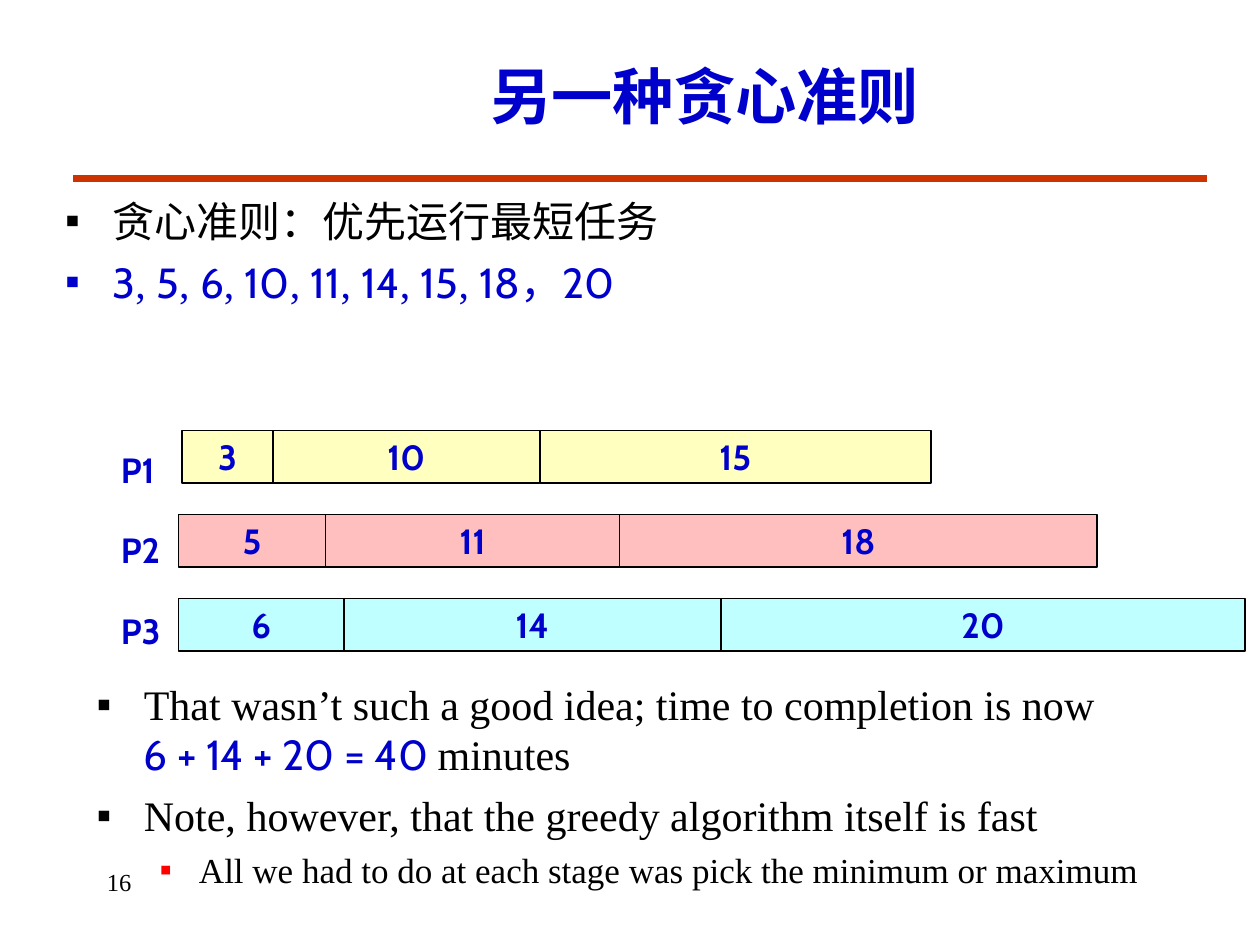
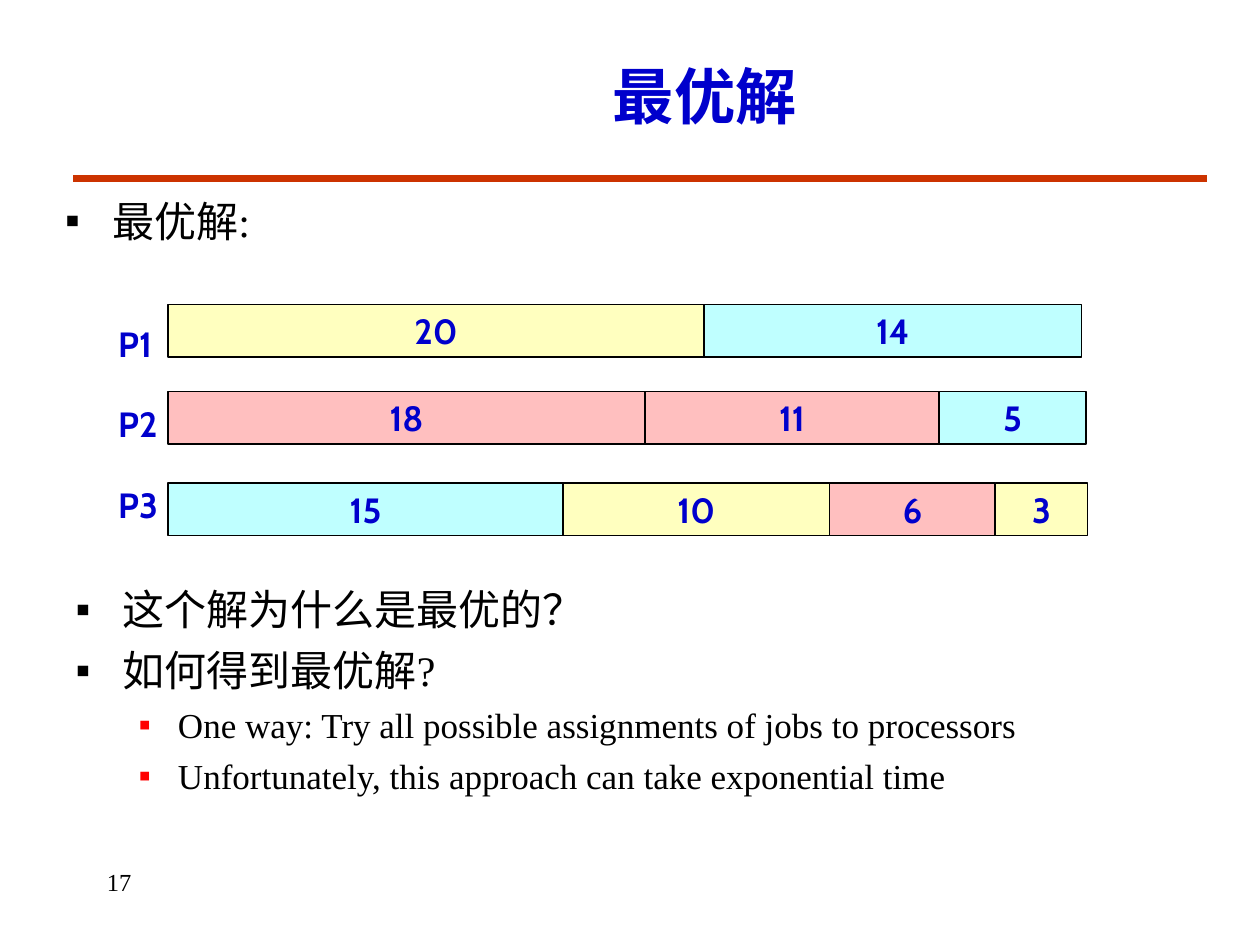
import itertools

import pptx
import pptx.dml.color
import pptx.enum.shapes
import pptx.enum.text
import pptx.oxml.ns
import pptx.util
from lxml import etree

Pt = pptx.util.Pt
ALIGN = pptx.enum.text.PP_ALIGN
ANCHOR = pptx.enum.text.MSO_ANCHOR

# Shared style
SERIF, SANS = "Times New Roman", "Cabin"
BLACK, BLUE, RED, RULE = "000000", "0000CC", "FF0000", "CC3300"
YELLOW, PINK, CYAN = "FFFFBF", "FFBFBF", "BFFFFF"
BAR_HEIGHT = 30
BULLET_LEVELS = [  # size, text indent, hanging indent, bullet colour
    (24, 27, 27, None),
    (20, 58.5, 22.5, RED),
]


def rgb(hex_colour):
    return pptx.dml.color.RGBColor.from_string(hex_colour)


def write_text(paragraph, text, font=SERIF, size=24, colour=BLACK, bold=False, align=None):
    """Add text to a paragraph; a newline becomes a line break."""
    if align is not None:
        paragraph.alignment = align
    for number, line in enumerate(text.split("\n")):
        if number:
            paragraph.add_line_break()
        if line:
            run = paragraph.add_run()
            run.text = line
            run.font.name = font
            run.font.size = Pt(size)
            run.font.bold = bold
            run.font.color.rgb = rgb(colour)


def place(shape, left, top, width, height):
    shape.left, shape.top = Pt(left), Pt(top)
    shape.width, shape.height = Pt(width), Pt(height)


def next_paragraph(frame, index):
    return frame.add_paragraph() if index else frame.paragraphs[0]


def add_child(parent, tag, **attributes):
    return etree.SubElement(parent, pptx.oxml.ns.qn(tag), attributes)


def set_bullet(paragraph, level):
    size, indent, hanging, colour = BULLET_LEVELS[level]
    paragraph.level = level
    paragraph.space_before = Pt(size / 4)
    properties = paragraph._p.get_or_add_pPr()
    properties.set("marL", str(Pt(indent)))
    properties.set("indent", str(-Pt(hanging)))
    if colour:
        add_child(add_child(properties, "a:buClr"), "a:srgbClr", val=colour)
    add_child(properties, "a:buChar", char="▪")


def fill_list(placeholder, box, items):
    """Each item is a level and its runs, a run being text and format."""
    place(placeholder, *box)
    frame = placeholder.text_frame
    frame.auto_size = pptx.enum.text.MSO_AUTO_SIZE.NONE
    frame.vertical_anchor = ANCHOR.TOP
    for index, (level, runs) in enumerate(items):
        paragraph = next_paragraph(frame, index)
        set_bullet(paragraph, level)
        for text, style in runs:
            write_text(paragraph, text, size=BULLET_LEVELS[level][0], **style)


def plain(text, level=0):
    return level, [(text, {})]


def add_text_box(slide, box, lines, line_spacing=None, space_before=None, **style):
    frame = slide.shapes.add_textbox(*map(Pt, box)).text_frame
    frame.word_wrap = True
    for index, line in enumerate(lines):
        paragraph = next_paragraph(frame, index)
        paragraph.line_spacing = line_spacing
        paragraph.space_before = space_before
        write_text(paragraph, line, **style)


def start_slide(deck, title, page_number):
    slide = deck.slides.add_slide(deck.slide_layouts.get_by_name("Two Content"))
    # Red rule below the title
    rule = slide.shapes.add_connector(
        pptx.enum.shapes.MSO_CONNECTOR.STRAIGHT, Pt(42), Pt(102), Pt(690), Pt(102))
    rule.line.color.rgb = rgb(RULE)
    rule.line.width = Pt(4.5)
    add_child(rule._element.spPr, "a:effectLst")
    # Title and page number
    heading = slide.shapes.title
    place(heading, 96, 24, 613.5, 60)
    heading.text_frame.vertical_anchor = ANCHOR.MIDDLE
    heading.text_frame.auto_size = pptx.enum.text.MSO_AUTO_SIZE.NONE
    write_text(heading.text_frame.paragraphs[0], title,
               size=35, colour=BLUE, bold=True, align=ALIGN.CENTER)
    add_text_box(slide, (54, 492, 150, 36), [str(page_number)], size=14)
    return slide


def add_job(slide, minutes, left, right, top, colour):
    job = slide.shapes.add_shape(pptx.enum.shapes.MSO_SHAPE.RECTANGLE,
                                 Pt(left), Pt(top), Pt(right - left), Pt(BAR_HEIGHT))
    job.shadow.inherit = False
    job.fill.solid()
    job.fill.fore_color.rgb = rgb(colour)
    job.line.color.rgb = rgb(BLACK)
    job.line.width = Pt(1)
    job.text_frame.word_wrap = False
    job.text_frame.vertical_anchor = ANCHOR.MIDDLE
    write_text(job.text_frame.paragraphs[0], str(minutes), font=SANS, size=20,
               colour=BLUE, bold=True, align=ALIGN.CENTER)


def add_schedule(slide, processors, label_left, label_top):
    """Each processor is its top, job edges, and jobs as minutes and colour."""
    for top, edges, jobs in processors:
        for (left, right), (minutes, colour) in zip(itertools.pairwise(edges), jobs):
            add_job(slide, minutes, left, right, top, colour)
    add_text_box(slide, (label_left, label_top, 47.5, 136), ["P1", "P2", "P3"],
                 line_spacing=1.5, space_before=Pt(10),
                 font=SANS, size=20, colour=BLUE, bold=True)


def build_shortest_first(deck):
    slide = start_slide(deck, "另一种贪心准则", 16)
    rule_list, result_list = list(slide.placeholders)[1:]
    digits = {"font": SANS, "colour": BLUE}
    # Job times in ascending order
    times = []
    for minutes in (3, 5, 6, 10, 11, 14, 15):
        times += [(str(minutes), digits), (", ", {"colour": BLUE})]
    times.append(("18，20", digits))
    fill_list(rule_list, (30, 108, 675, 113), [
        plain("贪心准则：优先运行最短任务"),
        (0, times),
    ])
    fill_list(result_list, (48, 384, 618, 144), [
        (0, [("That wasn’t such a good idea; time to completion is now\n", {}),
             ("6 + 14 + 20 = 40 ", digits),
             ("minutes", {})]),
        plain("Note, however, that the greedy algorithm itself is fast"),
        plain("All we had to do at each stage was pick the minimum or maximum", 1),
    ])
    add_schedule(slide, [
        (246, (104, 156, 308.4, 532), [(3, YELLOW), (10, YELLOW), (15, YELLOW)]),
        (294, (102, 186, 354, 627), [(5, PINK), (11, PINK), (18, PINK)]),
        (342, (102, 196.5, 412, 711.5), [(6, CYAN), (14, CYAN), (20, CYAN)]),
    ], 62, 240.5)


def build_optimal(deck):
    slide = start_slide(deck, "最优解", 17)
    solution_list, question_list = list(slide.placeholders)[1:]
    fill_list(solution_list, (30, 108, 675, 42), [plain("最优解:")])
    fill_list(question_list, (36, 330, 675, 166), [
        plain("这个解为什么是最优的？"),
        plain("如何得到最优解?"),
        plain("One way: Try all possible assignments of jobs to processors", 1),
        plain("Unfortunately, this approach can take exponential time", 1),
    ])
    add_schedule(slide, [
        (174, (96, 402.3, 618), [(20, YELLOW), (14, CYAN)]),
        (223.7, (96, 368.7, 536.5, 620.6), [(18, PINK), (11, PINK), (5, CYAN)]),
        (276, (96, 321.8, 474, 568.8, 621.5),
         [(15, CYAN), (10, YELLOW), (6, PINK), (3, YELLOW)]),
    ], 60.5, 168.5)


def main():
    deck = pptx.Presentation()
    deck.slide_width, deck.slide_height = Pt(720), Pt(540)
    build_shortest_first(deck)
    build_optimal(deck)
    deck.save("out.pptx")


if __name__ == "__main__":
    main()
